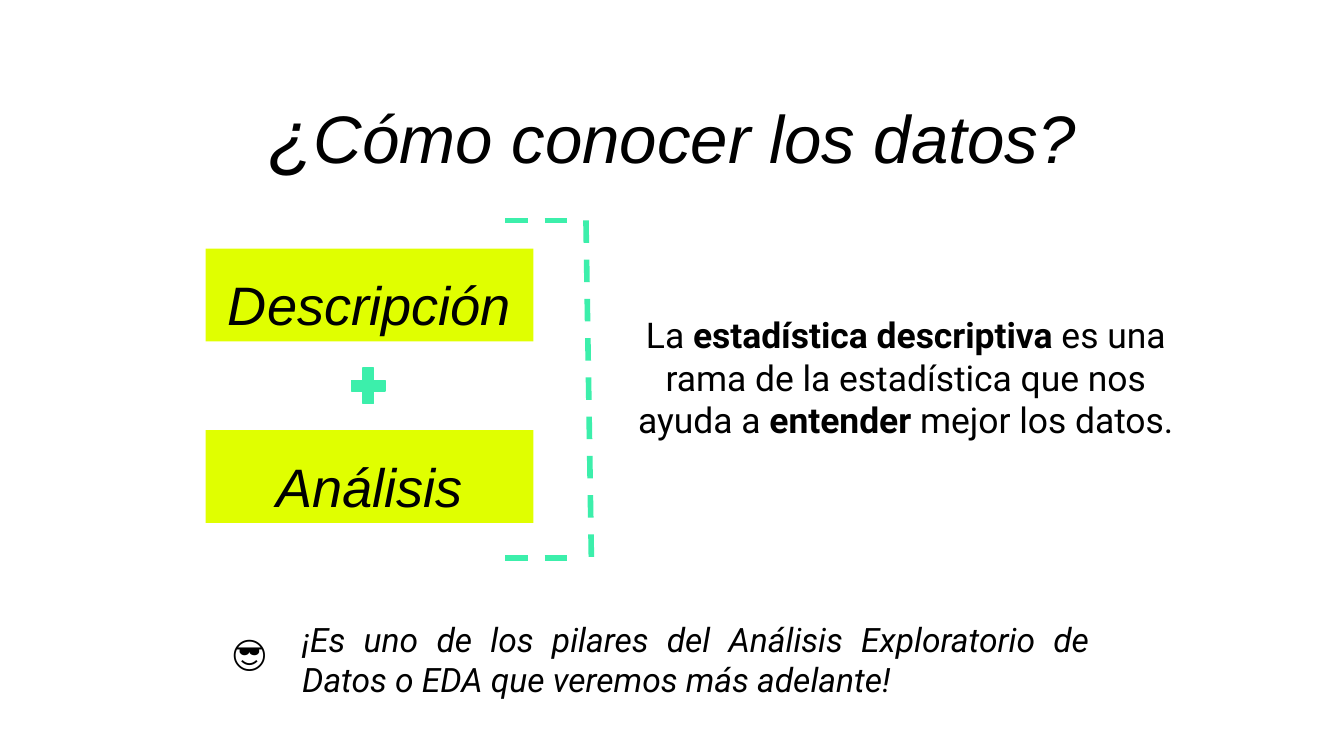
from lxml.etree import SubElement
from pptx import Presentation
from pptx.dml.color import RGBColor
from pptx.enum.dml import MSO_LINE
from pptx.enum.shapes import MSO_CONNECTOR, MSO_SHAPE
from pptx.enum.text import MSO_ANCHOR, MSO_AUTO_SIZE, PP_ALIGN
from pptx.oxml.ns import qn
from pptx.util import Inches, Pt

BLACK = RGBColor(0x00, 0x00, 0x00)
LIME = RGBColor(0xE0, 0xFF, 0x00)
GREEN = RGBColor(0x3C, 0xEF, 0xAB)


def format_frame(shape, anchor=MSO_ANCHOR.TOP):
    """Set wrapping, anchor and equal margins, and return the first paragraph."""
    frame = shape.text_frame
    frame.word_wrap = True
    frame.auto_size = MSO_AUTO_SIZE.NONE
    frame.vertical_anchor = anchor
    frame.margin_left = frame.margin_right = Inches(0.1)
    frame.margin_top = frame.margin_bottom = Inches(0.1)
    return frame.paragraphs[0]


def format_font(paragraph, name, size, italic=False):
    """Set the font shared by all runs of a paragraph."""
    font = paragraph.font
    font.name = name
    font.size = Pt(size)
    font.italic = italic
    font.color.rgb = BLACK


def set_title(slide):
    """Place the title and enlarge its opening question mark."""
    title = slide.shapes.title
    title.left, title.top = Inches(1.75), Inches(0.56)
    title.width, title.height = Inches(6.5), Inches(1.08)
    paragraph = format_frame(title)
    paragraph.alignment = PP_ALIGN.CENTER
    paragraph.line_spacing = 1
    paragraph.space_before = Pt(0)
    format_font(paragraph, "Arial", 36, italic=True)
    opening = paragraph.add_run()
    opening.text = "¿"
    opening.font.size = Pt(40)
    paragraph.add_run().text = "Cómo conocer los datos?"


def add_filled_shape(slide, preset, left, top, width, height, color):
    """Add a flat preset shape without an outline."""
    shape = slide.shapes.add_shape(
        preset, Inches(left), Inches(top), Inches(width), Inches(height))
    shape.shadow.inherit = False
    shape.fill.solid()
    shape.fill.fore_color.rgb = color
    shape.line.fill.background()
    return shape


def add_label_box(slide, top, text):
    """Add a lime box with a large italic label."""
    box = add_filled_shape(slide, MSO_SHAPE.RECTANGLE, 1.53, top, 2.44, 0.69, LIME)
    paragraph = format_frame(box)
    paragraph.text = text
    paragraph.alignment = PP_ALIGN.CENTER
    paragraph.line_spacing = 1.15
    format_font(paragraph, "Arial", 29, italic=True)


def add_plus(slide):
    """Add the plus sign between the two boxes."""
    plus = add_filled_shape(slide, MSO_SHAPE.MATH_PLUS, 2.57, 2.69, 0.34, 0.36, GREEN)
    plus.adjustments[0] = 0.235
    plus.line.color.rgb = GREEN
    plus.line.width = Pt(0.75)


def add_dashed_line(slide, start_x, start_y, end_x, end_y):
    """Add one dashed side of the bracket."""
    line = slide.shapes.add_connector(
        MSO_CONNECTOR.STRAIGHT, Inches(start_x), Inches(start_y),
        Inches(end_x), Inches(end_y))
    line.line.color.rgb = GREEN
    line.line.width = Pt(3)
    line.line.dash_style = MSO_LINE.DASH
    SubElement(line._element.spPr, qn("a:effectLst"))


def add_text(slide, left, top, width, height, runs, name, size,
             alignment=PP_ALIGN.LEFT, italic=False, space_after=0,
             anchor=MSO_ANCHOR.TOP):
    """Add a text box from pairs of text and boldness."""
    box = slide.shapes.add_textbox(
        Inches(left), Inches(top), Inches(width), Inches(height))
    paragraph = format_frame(box, anchor)
    paragraph.alignment = alignment
    paragraph.space_after = Pt(space_after)
    format_font(paragraph, name, size, italic)
    for text, bold in runs:
        run = paragraph.add_run()
        run.text = text
        run.font.bold = bold


def main():
    """Build and save the slide."""
    presentation = Presentation()
    presentation.slide_width = Inches(10)
    presentation.slide_height = Inches(10) * 9 // 16
    slide = presentation.slides.add_slide(presentation.slide_layouts[5])

    set_title(slide)
    add_label_box(slide, 1.85, "Descripción")
    add_label_box(slide, 3.2, "Análisis")
    add_plus(slide)

    bracket_top, bracket_bottom = 1.64, 4.15
    add_dashed_line(slide, 4.36, bracket_top, 4.4, bracket_bottom)
    for y in (bracket_top, bracket_bottom):
        add_dashed_line(slide, 3.76, y, 4.27, y)

    definition = [
        ("La ", False),
        ("estadística descriptiva", True),
        (" es una rama de la estadística que nos ayuda a ", False),
        ("entender", True),
        (" mejor los datos.", False),
    ]
    add_text(slide, 4.51, 2.23, 4.46, 1.16, definition, "Roboto", 19,
             alignment=PP_ALIGN.CENTER, space_after=10)
    remark = ("¡Es uno de los pilares del Análisis Exploratorio de Datos "
              "o EDA que veremos más adelante!")
    add_text(slide, 2.15, 4.5, 6.06, 0.81, [(remark, False)], "Roboto", 18,
             alignment=PP_ALIGN.JUSTIFY, italic=True, space_after=10,
             anchor=MSO_ANCHOR.MIDDLE)
    add_text(slide, 1.63, 4.58, 0.59, 0.54, [("😎", False)], "Arial", 20)

    presentation.save("out.pptx")


if __name__ == "__main__":
    main()
